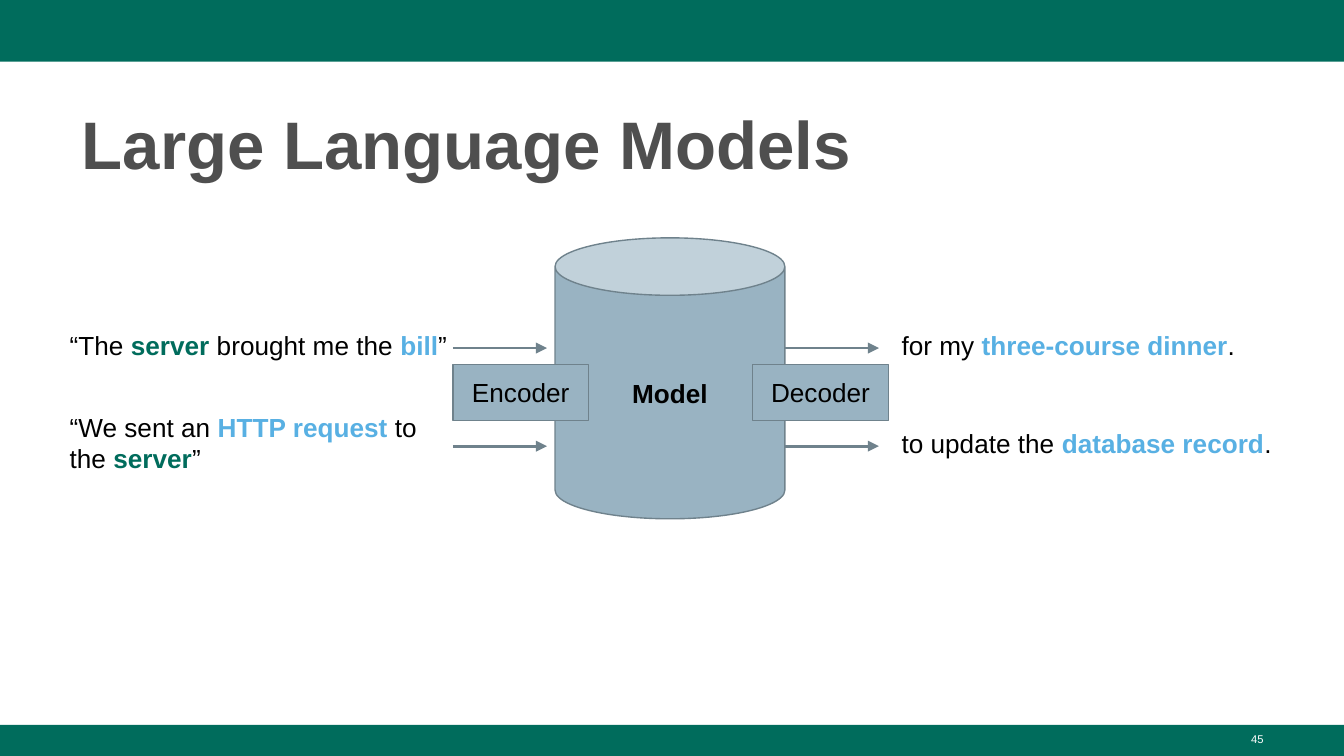
from pptx import Presentation
from pptx.dml.color import RGBColor
from pptx.enum.shapes import MSO_CONNECTOR, MSO_SHAPE
from pptx.enum.text import MSO_ANCHOR, PP_ALIGN
from pptx.oxml.ns import qn
from pptx.util import Inches, Pt
from lxml import etree

STRAIGHT = MSO_CONNECTOR.STRAIGHT
RECTANGLE, CAN = MSO_SHAPE.RECTANGLE, MSO_SHAPE.CAN
TOP, MIDDLE = MSO_ANCHOR.TOP, MSO_ANCHOR.MIDDLE
LEFT, CENTER, RIGHT = PP_ALIGN.LEFT, PP_ALIGN.CENTER, PP_ALIGN.RIGHT

GREEN = RGBColor(0x00, 0x6C, 0x5C)
SKY = RGBColor(0x58, 0xB0, 0xE3)
STEEL = RGBColor(0x99, 0xB3, 0xC2)
SLATE = RGBColor(0x6F, 0x82, 0x8C)
GRAY = RGBColor(0x4F, 0x4F, 0x4F)
BLACK = RGBColor(0x00, 0x00, 0x00)
WHITE = RGBColor(0xFF, 0xFF, 0xFF)

SLIDE_WIDTH = Inches(10)
SLIDE_HEIGHT = SLIDE_WIDTH * 9 // 16
COLUMNS = 100
CELL = SLIDE_WIDTH / COLUMNS
ROWS = SLIDE_HEIGHT / CELL

BODY = {"size": Pt(14), "bold": False}
STRONG = {"size": Pt(14), "bold": True}
TITLE = {"size": Pt(36), "bold": True}
PAGE_NUMBER = {"size": Pt(6), "bold": False}

ARROW_ROWS = (25.9, 33.2)
ARROW_COLUMNS = (33.7, 58.4)
ARROW_LENGTH = 7
CODERS = {"Encoder": 33.7, "Decoder": 56}
PHRASES = [
    ((4.2, 23.5, 30.7, 3.6), [("“The ", BLACK), ("server", GREEN),
                              (" brought me the ", BLACK), ("bill", SKY), ("”", BLACK)]),
    ((4.2, 29.6, 30.7, 5.8), [("“We sent an ", BLACK), ("HTTP request ", SKY),
                              ("to the ", BLACK), ("server", GREEN), ("”", BLACK)]),
    ((66.1, 23.5, 28.1, 3.6), [("for my ", BLACK), ("three-course dinner", SKY),
                               (".", BLACK)]),
    ((66.1, 30.8, 33, 3.6), [("to update the ", BLACK), ("database record", SKY),
                             (".", BLACK)]),
]


def grid(*cells):
    return [round(cell * CELL) for cell in cells]


def set_attributes(target, values):
    for name, value in values.items():
        setattr(target, name, value)


def write_text(shape, runs, style, align=LEFT, anchor=TOP, inset=1):
    frame = shape.text_frame
    side, edge = grid(1, inset)
    set_attributes(frame, {
        "word_wrap": True, "vertical_anchor": anchor,
        "margin_left": side, "margin_right": side,
        "margin_top": edge, "margin_bottom": edge,
    })
    paragraph = frame.paragraphs[0]
    paragraph.alignment = align
    for text, color in runs:
        run = paragraph.add_run()
        run.text = text
        set_attributes(run.font, {"name": "Arial", **style})
        if color in (GREEN, SKY):
            run.font.bold = True
        run.font.color.rgb = color
    return paragraph


def add_title(slide, text):
    title = slide.shapes.title
    box = grid(5.1, 6.7, 89.9, 7.3)
    set_attributes(title, dict(zip(("left", "top", "width", "height"), box)))
    paragraph = write_text(title, [(text, GRAY)], TITLE, anchor=MIDDLE, inset=0.5)
    paragraph.line_spacing = 1.08


def add_text(slide, box, runs, style=BODY, **layout):
    write_text(slide.shapes.add_textbox(*grid(*box)), runs, style, **layout)


def add_bar(slide, top, height):
    bar = slide.shapes.add_shape(RECTANGLE, *grid(0, top, COLUMNS, height))
    bar.shadow.inherit = False
    bar.fill.solid()
    bar.fill.fore_color.rgb = GREEN
    bar.line.fill.background()


def add_block(slide, kind, box, label, style):
    block = slide.shapes.add_shape(kind, *grid(*box))
    block.shadow.inherit = False
    block.fill.solid()
    block.fill.fore_color.rgb = STEEL
    block.line.color.rgb = SLATE
    block.line.width = Pt(0.75)
    write_text(block, [(label, BLACK)], style, align=CENTER, anchor=MIDDLE)
    return block


def add_arrow(slide, column, row):
    ends = grid(column, row, column + ARROW_LENGTH, row)
    arrow = slide.shapes.add_connector(STRAIGHT, *ends)
    arrow.line.color.rgb = SLATE
    arrow.line.width = Pt(1.5)
    properties = arrow.element.spPr
    etree.SubElement(properties.find(qn("a:ln")), qn("a:tailEnd"), type="triangle")
    etree.SubElement(properties, qn("a:effectLst"))


def main():
    presentation = Presentation()
    set_attributes(presentation, {"slide_width": SLIDE_WIDTH, "slide_height": SLIDE_HEIGHT})
    slide = presentation.slides.add_slide(presentation.slide_layouts[5])

    add_bar(slide, 0, 4.6)
    add_bar(slide, ROWS - 2.3, 2.3)
    add_text(slide, (71.7, 54, 23.3, 2.3), [("45", WHITE)], PAGE_NUMBER,
             align=RIGHT, inset=0.5)
    add_title(slide, "Large Language Models")

    model = add_block(slide, CAN, (41.3, 17.7, 17.1, 20.9), "Model", STRONG)
    model.adjustments[0] = 0.25
    for box, runs in PHRASES:
        add_text(slide, box, runs)
    for column in ARROW_COLUMNS:
        for row in ARROW_ROWS:
            add_arrow(slide, column, row)
    for label, column in CODERS.items():
        add_block(slide, RECTANGLE, (column, 27.1, 10.1, 4.2), label, BODY)

    presentation.save("out.pptx")


if __name__ == "__main__":
    main()
